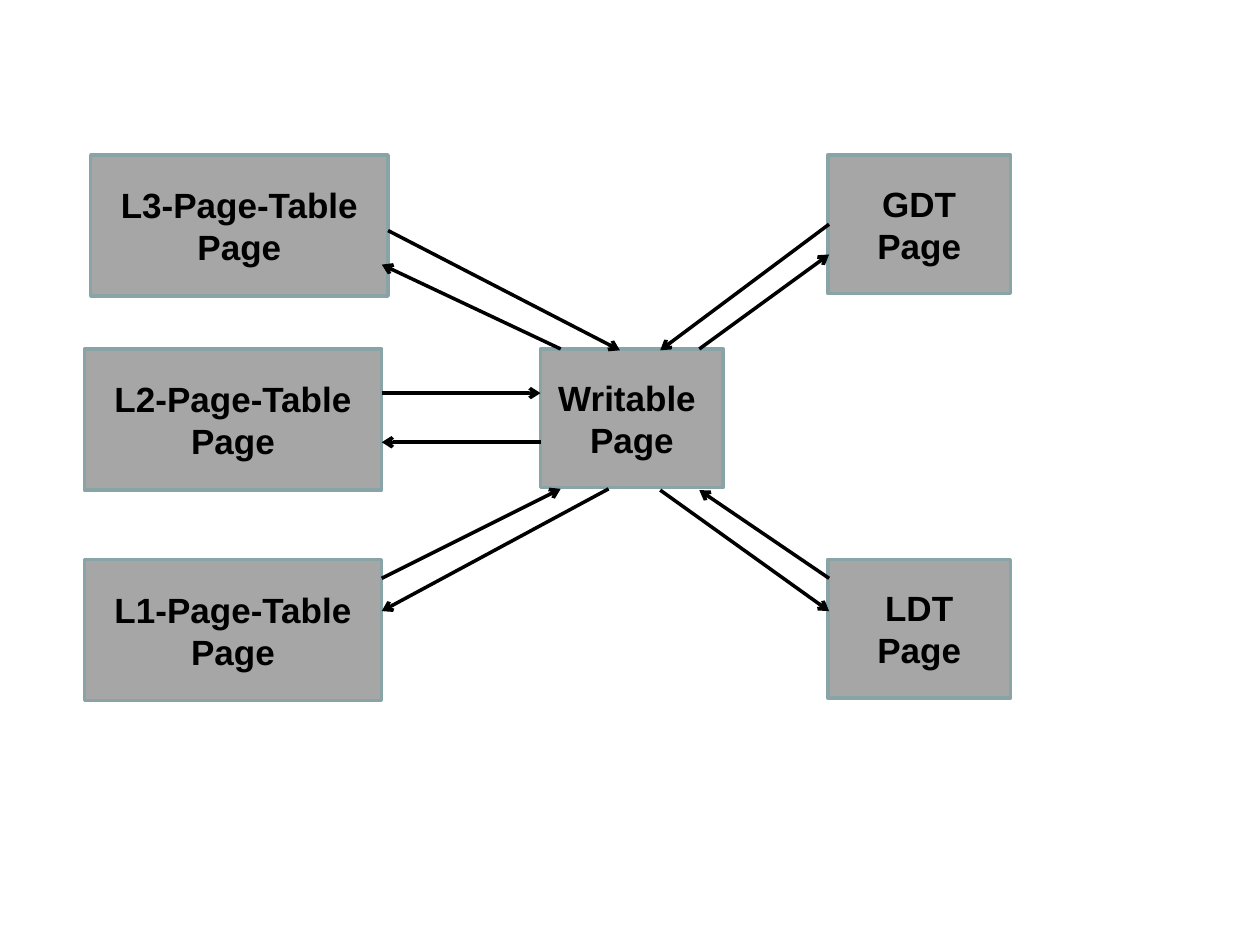
from lxml import etree
from pptx import Presentation
from pptx.dml.color import RGBColor
from pptx.enum.shapes import MSO_CONNECTOR, MSO_SHAPE
from pptx.enum.text import MSO_ANCHOR, PP_ALIGN
from pptx.oxml.ns import qn
from pptx.util import Inches, Pt

STRAIGHT = MSO_CONNECTOR.STRAIGHT
RECTANGLE = MSO_SHAPE.RECTANGLE
MIDDLE = MSO_ANCHOR.MIDDLE
CENTER = PP_ALIGN.CENTER

GREY, TEAL, BLACK = "A6A6A6", "89A4A7", "000000"
DESCRIPTOR_SIZE = (1.45, 1.1)
TABLE_SIZE = (2.36, 1.12)
TOP_ROW, MIDDLE_ROW, BOTTOM_ROW = 1.23, 2.77, 4.44

PAGES = [
    ("GDT", 6.57, TOP_ROW, DESCRIPTOR_SIZE),
    ("LDT", 6.57, BOTTOM_ROW, DESCRIPTOR_SIZE),
    ("Writable ", 4.29, MIDDLE_ROW, DESCRIPTOR_SIZE),
    ("L2-Page-Table", 0.67, MIDDLE_ROW, TABLE_SIZE),
    ("L3-Page-Table", 0.72, TOP_ROW, TABLE_SIZE),
    ("L1-Page-Table", 0.67, BOTTOM_ROW, TABLE_SIZE),
]

# Each transition runs from its first point to its second.
TRANSITIONS = [
    ((3.08, 1.83), (4.92, 2.78)),
    ((3.03, 3.12), (4.29, 3.12)),
    ((4.29, 3.51), (3.03, 3.51)),
    ((4.45, 2.77), (3.03, 2.1)),
    ((3.03, 4.59), (4.45, 3.88)),
    ((4.83, 3.88), (3.03, 4.85)),
    ((5.55, 2.77), (6.58, 2.02)),
    ((6.58, 1.78), (5.24, 2.78)),
    ((6.58, 4.59), (5.55, 3.89)),
    ((5.24, 3.89), (6.58, 4.85)),
]


def color(hex_value):
    return RGBColor.from_string(hex_value)


def set_line(line, hex_value):
    line.color.rgb = color(hex_value)
    line.width = Pt(2)


def add_page_box(slide, page_type, left, top, size):
    box = slide.shapes.add_shape(
        RECTANGLE, *(Inches(value) for value in (left, top, *size)))
    box.shadow.inherit = False
    box.fill.solid()
    box.fill.fore_color.rgb = color(GREY)
    set_line(box.line, TEAL)

    frame = box.text_frame
    frame.word_wrap = True
    frame.vertical_anchor = MIDDLE
    for paragraph, text in ((frame.paragraphs[0], page_type),
                            (frame.add_paragraph(), "Page")):
        paragraph.alignment = CENTER
        run = paragraph.add_run()
        run.text = text
        run.font.name = "Arial"
        run.font.size = Pt(20)
        run.font.bold = True
        run.font.color.rgb = color(BLACK)


def add_arrow(slide, start, end):
    arrow = slide.shapes.add_connector(
        STRAIGHT, *(Inches(value) for value in (*start, *end)))
    set_line(arrow.line, BLACK)
    properties = arrow.element.spPr
    outline = properties.find(qn("a:ln"))
    etree.SubElement(outline, qn("a:tailEnd"), type="arrow")
    etree.SubElement(properties, qn("a:effectLst"))


def main():
    presentation = Presentation()
    presentation.slide_width = Inches(10)
    presentation.slide_height = Inches(7.5)
    slide = presentation.slides.add_slide(presentation.slide_layouts[6])
    for page in PAGES:
        add_page_box(slide, *page)
    for start, end in TRANSITIONS:
        add_arrow(slide, start, end)
    presentation.save("out.pptx")


if __name__ == "__main__":
    main()
